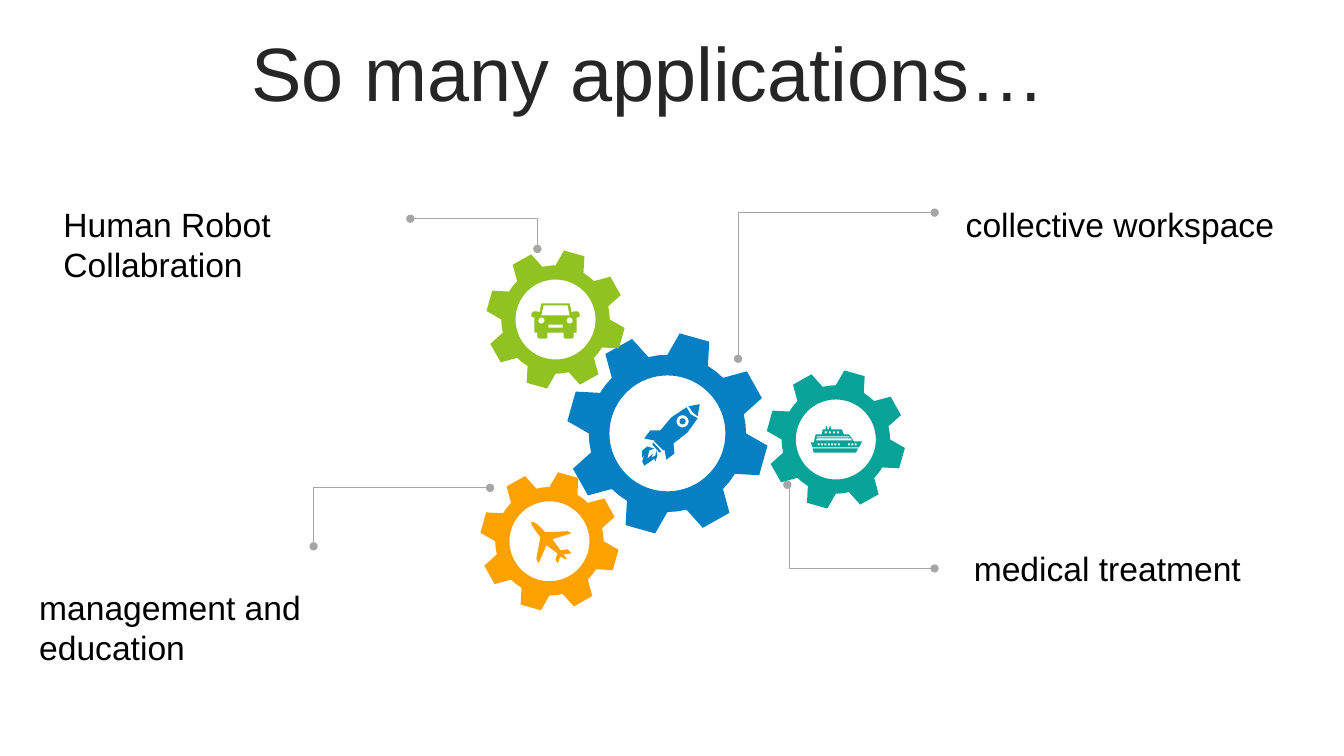
from math import cos, radians, sin

from lxml import etree
from pptx import Presentation
from pptx.dml.color import RGBColor
from pptx.enum.shapes import MSO_CONNECTOR
from pptx.enum.text import MSO_ANCHOR, PP_ALIGN
from pptx.oxml.ns import qn
from pptx.util import Inches, Pt

ELBOW = MSO_CONNECTOR.ELBOW
TOP, MIDDLE = MSO_ANCHOR.TOP, MSO_ANCHOR.MIDDLE
LEFT, CENTER = PP_ALIGN.LEFT, PP_ALIGN.CENTER

BLACK = RGBColor(0x00, 0x00, 0x00)
DARK = RGBColor(0x26, 0x26, 0x26)
GRAY = RGBColor(0xA6, 0xA6, 0xA6)
BLUE = RGBColor(0x06, 0x80, 0xC3)
TEAL = RGBColor(0x07, 0xA3, 0x98)
GREEN = RGBColor(0x90, 0xC2, 0x21)
ORANGE = RGBColor(0xFB, 0xA2, 0x00)


def add_text(s, text, box, size=24, color=BLACK, align=LEFT, anchor=TOP, spacing=1.0):
    tf = s.shapes.add_textbox(*map(Inches, box)).text_frame
    tf.word_wrap = True
    tf.vertical_anchor = anchor
    p = tf.paragraphs[0]
    p.alignment, p.line_spacing = align, spacing
    r = p.add_run()
    r.text = text
    r.font.name, r.font.size = "Arial", Pt(size)
    r.font.color.rgb = color


def add_outline(s, center, contours, color):
    """One freeform; contours are offsets in inches from the center."""
    cx, cy = center
    builder = None
    for contour in contours:
        points = [(Inches(cx + x), Inches(cy + y)) for x, y in contour]
        if builder is None:
            builder = s.shapes.build_freeform(*points[0])
        else:
            builder.move_to(*points[0])
        builder.add_line_segments(points[1:], close=True)
    sp = builder.convert_to_shape()
    sp.shadow.inherit = False
    sp.fill.solid()
    sp.fill.fore_color.rgb = color
    sp.line.fill.background()


# Contour helpers
def polar(radius, degrees):
    return radius * sin(radians(degrees)), -radius * cos(radians(degrees))


def circle(x, y, radius, steps=72):
    ring = [polar(radius, i * 360 / steps) for i in range(steps)]
    return [(x + dx, y + dy) for dx, dy in ring]


def rect(x, y, w, h):
    return [(x, y), (x + w, y), (x + w, y + h), (x, y + h)]


def mirror(half):
    return half + [(-x, y) for x, y in reversed(half)]


# Gears: eight teeth, 45 degrees apart, around a round hole
TOOTH = [(0, 0.78), (7, 1), (24.5, 1), (31, 0.78), (38, 0.78)]


def add_gear(s, center, radius, color, icon):
    teeth = [polar(radius * k, 45 * i + a) for i in range(8) for a, k in TOOTH]
    add_outline(s, center, [teeth, circle(0, 0, 0.575 * radius)], color)
    add_outline(s, center, icon(), color)


# Icons
def car():
    body = [(0.14, -0.16), (0.16, -0.07), (0.18, -0.08), (0.22, -0.08), (0.24, -0.06),
            (0.24, -0.03), (0.22, -0.02), (0.21, -0.02), (0.21, 0.13), (0.18, 0.13),
            (0.18, 0.18), (0.16, 0.19), (0.1, 0.19), (0.08, 0.18), (0.08, 0.13)]
    window = [(0.12, -0.14), (0.14, -0.04)]
    lights = [circle(x, 0.01, 0.03) for x in (-0.14, 0.14)]
    return [mirror(body), mirror(window), rect(-0.07, 0.05, 0.14, 0.03), *lights]


def ship():
    hull = [(-0.06, -0.13), (-0.05, -0.13), (-0.05, -0.1), (0.06, -0.1), (0.08, -0.05),
            (0.13, -0.05), (0.18, 0.02), (0.26, 0.02), (0.23, 0.08), (-0.23, 0.08),
            (-0.25, 0.03), (-0.22, 0.03), (-0.2, -0.05), (-0.14, -0.05), (-0.13, -0.1),
            (-0.1, -0.1), (-0.1, -0.13), (-0.09, -0.13), (-0.08, -0.1), (-0.07, -0.1)]
    keel = [(-0.23, 0.09), (0.22, 0.09), (0.2, 0.13), (-0.22, 0.13)]
    decks = [[(-0.19, -0.01), (-0.2, 0.01), (0.16, 0.01), (0.15, -0.01)],
             [(-0.19, -0.03), (-0.19, -0.02), (0.14, -0.02), (0.13, -0.03)]]
    portholes = [rect(-0.18 + i / 30, 0.04, 0.02, 0.02)
                 for i in range(12) if i not in (7, 8)]
    windows = [rect(-0.11 + 0.04 * i, -0.08, 0.02, 0.02) for i in range(4)]
    return [hull, keel, *decks, *portholes, *windows]


def plane():
    return [[(0.22, 0.12), (0.14, 0.13), (0.17, 0.17), (0.16, 0.18), (0.11, 0.15),
             (0.08, 0.22), (0.06, 0.18), (0.08, 0.12), (-0.03, 0.04), (-0.11, 0.22),
             (-0.13, 0.17), (-0.09, -0.04), (-0.15, -0.12), (-0.18, -0.17),
             (-0.18, -0.19), (-0.16, -0.19), (-0.12, -0.17), (-0.04, -0.09),
             (0.18, -0.1), (0.22, -0.08), (0.03, -0.02), (0.11, 0.09), (0.18, 0.08)]]


def rocket():
    body = [(0.19, -0.26), (0.23, -0.19), (0.3, -0.15), (0.2, -0.01), (0.06, 0.1),
            (0.07, 0.2), (-0.01, 0.26), (-0.03, 0.16), (-0.04, 0.17), (-0.13, 0.08),
            (-0.13, 0.07), (-0.23, 0.05), (-0.17, -0.03), (-0.07, -0.03), (0.04, -0.16)]
    nose = [(0.32, -0.29), (0.3, -0.17), (0.25, -0.21), (0.21, -0.27)]
    nozzle = [(-0.14, 0.09), (-0.06, 0.18), (-0.08, 0.19), (-0.15, 0.11)]
    flame = [(-0.13, 0.15), (-0.18, 0.17), (-0.2, 0.25), (-0.14, 0.2), (-0.16, 0.24),
             (-0.12, 0.22), (-0.11, 0.17), (-0.1, 0.22), (-0.12, 0.28), (-0.13, 0.25),
             (-0.17, 0.28), (-0.23, 0.32), (-0.25, 0.28), (-0.23, 0.21), (-0.25, 0.24),
             (-0.25, 0.17), (-0.2, 0.13)]
    porthole = [circle(0.15, -0.12, radius) for radius in (0.06, 0.03)]
    return [body, nose, nozzle, flame, *porthole]


# Callouts: a bent line with round ends, and a label
def add_callout(s, start, end, bend, text, box):
    line = s.shapes.add_connector(ELBOW, *map(Inches, start + end))
    line.line.color.rgb = GRAY
    line.line.width = Pt(0.5)
    ln = line.line._get_or_add_ln()
    for tag in ("a:headEnd", "a:tailEnd"):
        etree.SubElement(ln, qn(tag), type="oval")
    sp_pr = line._element.spPr
    etree.SubElement(sp_pr, qn("a:effectLst"))
    guides = sp_pr.find(qn("a:prstGeom")).get_or_add_avLst()
    etree.SubElement(guides, qn("a:gd"), name="adj1", fmla=f"val {round(bend * 100000)}")
    add_text(s, text, box)


def applications_slide(prs):
    s = prs.slides.add_slide(prs.slide_layouts[6])
    add_text(s, "So many applications…", (0.1, 0.37, 12.66, 0.79), size=54, color=DARK,
             align=CENTER, anchor=MIDDLE, spacing=0.9)

    for callout in [
        ((7.32, 3.56), (9.27, 2.11), 0, "collective workspace", (9.48, 1.97, 3.45, 0.5)),
        ((9.27, 5.64), (7.81, 4.81), 0.99, "medical treatment", (9.56, 5.39, 3.37, 0.5)),
        ((3.11, 5.42), (4.86, 4.84), 0, "management and education",
         (0.29, 5.77, 4.08, 0.91)),
        ((4.07, 2.17), (5.33, 2.47), 1, "Human Robot Collabration",
         (0.53, 1.97, 3.45, 0.91)),
    ]:
        add_callout(s, *callout)

    for gear in [
        ((6.62, 4.3), 1, BLUE, rocket),
        ((8.29, 4.36), 0.69, TEAL, ship),
        ((5.51, 3.17), 0.69, GREEN, car),
        ((5.45, 5.37), 0.69, ORANGE, plane),
    ]:
        add_gear(s, *gear)


def main():
    prs = Presentation()
    prs.slide_width, prs.slide_height = Inches(13.33), Inches(7.5)
    applications_slide(prs)
    prs.save("out.pptx")


if __name__ == "__main__":
    main()
